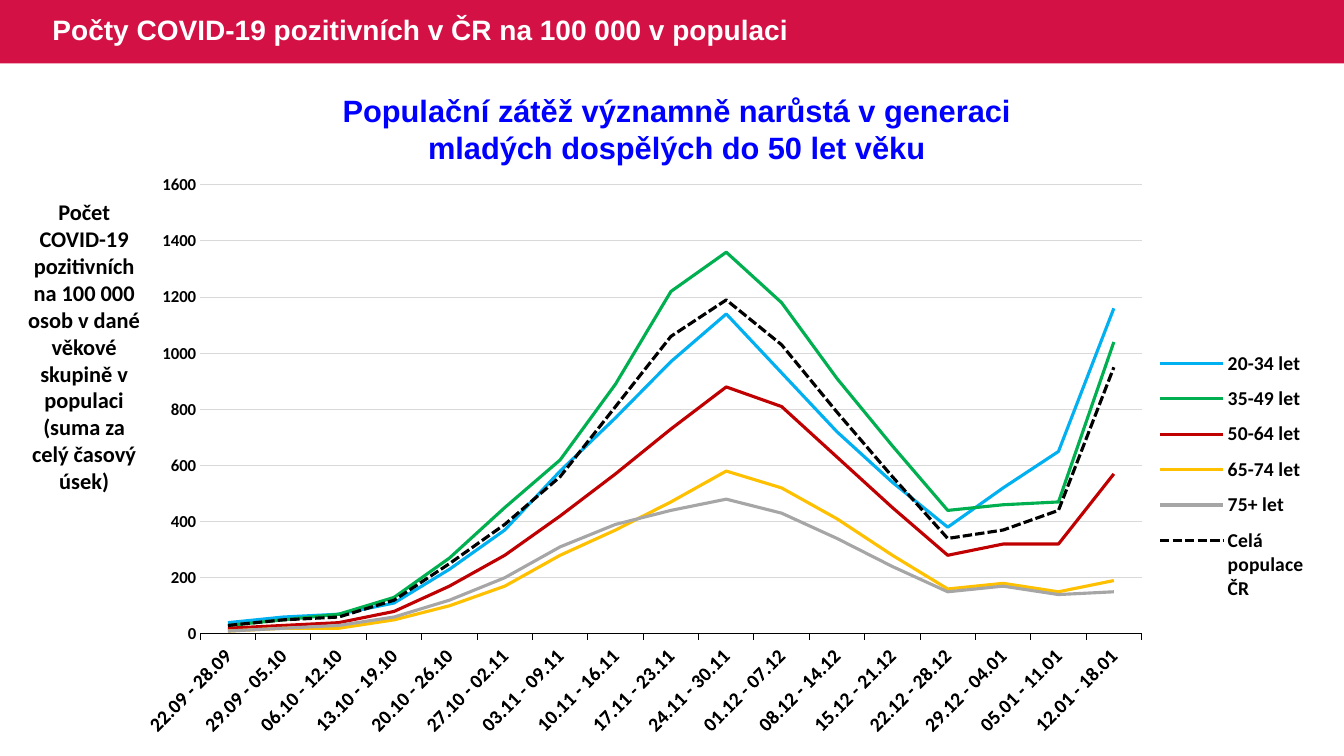
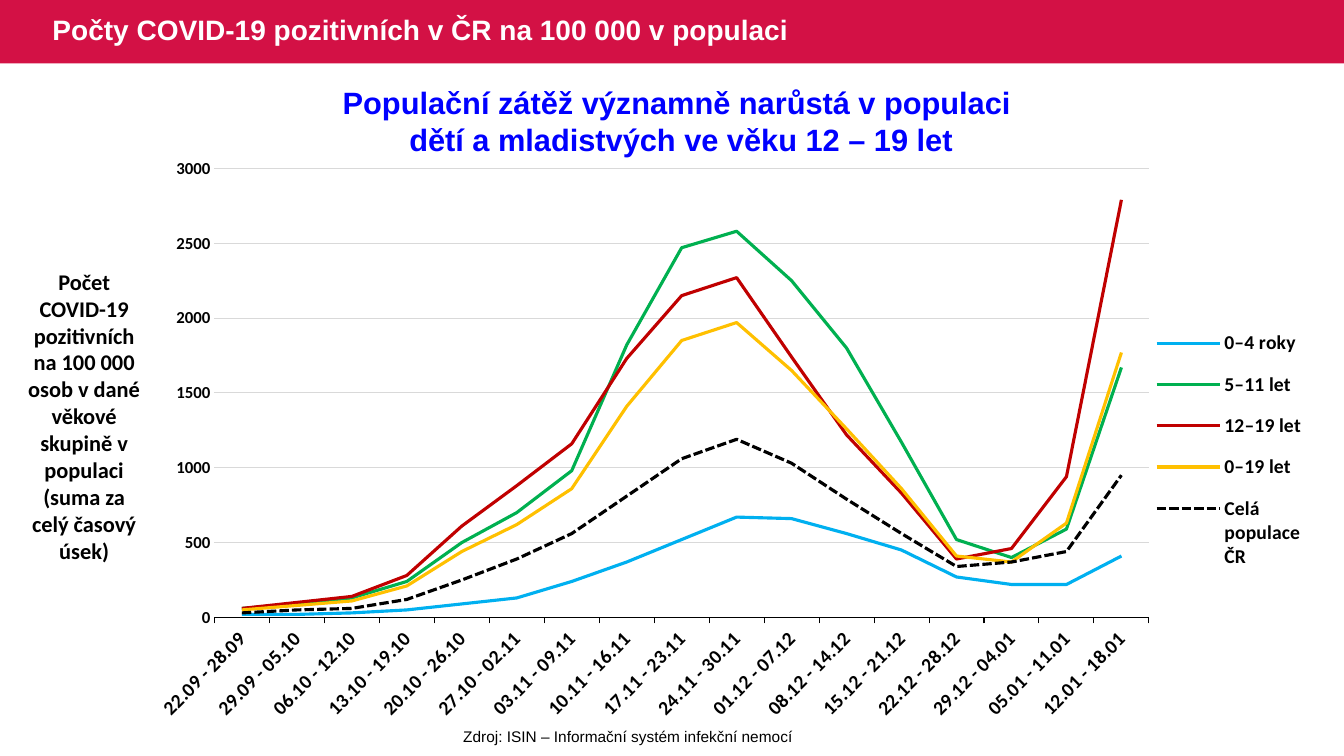
from lxml import etree
from pptx import Presentation
from pptx.chart import data as cd
from pptx.dml.color import RGBColor
from pptx.enum import chart as ce, dml, shapes, text
from pptx.oxml import ns
from pptx.util import Inches, Pt

RED = RGBColor(0xD3, 0x11, 0x45)
WHITE = RGBColor(0xFF, 0xFF, 0xFF)
BLACK = RGBColor(0, 0, 0)
BLUE = RGBColor(0, 0, 0xFF)
GRID = RGBColor(0xD9, 0xD9, 0xD9)
LINES = [RGBColor(0x00, 0xB0, 0xF0), RGBColor(0x00, 0xB0, 0x50),
         RGBColor(0xC0, 0x00, 0x00), RGBColor(0xFF, 0xC0, 0x00),
         RGBColor(0xA6, 0xA6, 0xA6)]

# Content
TITLE = "Počty COVID-19 pozitivních v ČR na 100 000 v populaci"
LABEL = ("Počet COVID-19 pozitivních na 100 000 osob v dané věkové skupině "
         "v populaci (suma za celý časový úsek)")
WEEKS = ["22.09 - 28.09", "29.09 - 05.10", "06.10 - 12.10", "13.10 - 19.10",
         "20.10 - 26.10", "27.10 - 02.11", "03.11 - 09.11", "10.11 - 16.11",
         "17.11 - 23.11", "24.11 - 30.11", "01.12 - 07.12", "08.12 - 14.12",
         "15.12 - 21.12", "22.12 - 28.12", "29.12 - 04.01", "05.01 - 11.01",
         "12.01 - 18.01"]
WHOLE = ("Celá populace ČR", [30, 50, 60, 120, 250, 390, 560, 810, 1060, 1190,
                              1030, 790, 560, 340, 370, 440, 950])
ADULTS = [
    ("20-34 let", [40, 60, 70, 110, 230, 370, 580, 770, 970, 1140, 930, 720,
                   540, 380, 520, 650, 1160]),
    ("35-49 let", [30, 50, 70, 130, 270, 450, 620, 890, 1220, 1360, 1180, 910,
                   670, 440, 460, 470, 1040]),
    ("50-64 let", [20, 30, 40, 80, 170, 280, 420, 570, 730, 880, 810, 630,
                   450, 280, 320, 320, 570]),
    ("65-74 let", [10, 20, 20, 50, 100, 170, 280, 370, 470, 580, 520, 410,
                   280, 160, 180, 150, 190]),
    ("75+ let", [10, 20, 30, 60, 120, 200, 310, 390, 440, 480, 430, 340,
                 240, 150, 170, 140, 150]),
]
YOUTH = [
    ("0–4 roky", [20, 20, 30, 50, 90, 130, 240, 370, 520, 670, 660, 560,
                  450, 270, 220, 220, 410]),
    ("5–11 let", [60, 90, 130, 240, 500, 700, 980, 1820, 2470, 2580, 2250,
                  1800, 1170, 520, 400, 590, 1670]),
    ("12–19 let", [60, 100, 140, 280, 610, 880, 1160, 1730, 2150, 2270, 1740,
                   1220, 830, 390, 460, 940, 2790]),
    ("0–19 let", [50, 80, 110, 210, 440, 620, 860, 1410, 1850, 1970, 1650,
                  1260, 860, 410, 370, 630, 1770]),
]
# Plot and legend areas are fractions of the chart: left, top, width, height
SLIDES = [
    dict(head=["Populační zátěž významně narůstá v generaci ",
               "mladých dospělých do 50 let věku "],
         head_top=0.86, label_top=1.92, chart_at=(1.43, 1.67), groups=ADULTS,
         top=1600, step=200, plot=(0.045, 0.028, 0.803, 0.759),
         legend=(0.86, 0.29, 0.13, 0.46), source=None),
    dict(head=["Populační zátěž významně narůstá v populaci ",
               "dětí a mladistvých ve věku 12 – 19 let"],
         head_top=0.78, label_top=2.61, chart_at=(1.52, 1.53), groups=YOUTH,
         top=3000, step=500, plot=(0.052, 0.024, 0.795, 0.759),
         legend=(0.85, 0.27, 0.13, 0.46),
         source="Zdroj: ISIN – Informační systém infekční nemocí"),
]


def style(font, size, color=BLACK, name="Calibri", bold=True):
    font.size, font.name, font.bold = Pt(size), name, bold
    font.color.rgb = color


def add_text(slide, box, lines, *look):
    frame = slide.shapes.add_textbox(*map(Inches, box)).text_frame
    frame.word_wrap = True
    frame.text = "\n".join(lines)
    for para in frame.paragraphs:
        para.alignment = text.PP_ALIGN.CENTER
        style(para.font, *look)


def set_area(parent, index, area, inner=False):
    """Give a plot area or legend a fixed place in its chart."""
    for old in parent.findall(ns.qn("c:layout")):
        parent.remove(old)
    layout = etree.Element(ns.qn("c:layout"))
    manual = etree.SubElement(layout, ns.qn("c:manualLayout"))
    pairs = [("layoutTarget", "inner")] if inner else []
    pairs += [("xMode", "edge"), ("yMode", "edge"), *zip("xywh", area)]
    for tag, val in pairs:
        etree.SubElement(manual, ns.qn("c:" + tag)).set("val", str(val))
    parent.insert(index, layout)


def add_chart(slide, item):
    data = cd.CategoryChartData()
    data.categories = WEEKS
    for name, vals in item["groups"] + [WHOLE]:
        data.add_series(name, vals)
    left, top = item["chart_at"]
    chart = slide.shapes.add_chart(
        ce.XL_CHART_TYPE.LINE, Inches(left), Inches(top), Inches(11.66),
        Inches(5.87), data).chart
    chart.has_title = False
    style(chart.font, 14)

    # Series lines
    count = len(item["groups"])
    for line, color in zip(chart.plots[0].series, LINES[:count] + [BLACK]):
        line.smooth = False
        line.format.line.color.rgb = color
        line.format.line.width = Pt(2.25)
    line.format.line.dash_style = dml.MSO_LINE.SQUARE_DOT

    # Axes
    weeks, rates = chart.category_axis, chart.value_axis
    style(weeks.tick_labels.font, 14)
    style(rates.tick_labels.font, 12)
    weeks.major_tick_mark = ce.XL_TICK_MARK.OUTSIDE
    rates.major_tick_mark = ce.XL_TICK_MARK.NONE
    rates.minimum_scale, rates.maximum_scale = 0, item["top"]
    rates.major_unit = item["step"]
    rates.format.line.fill.background()
    for edge, color in ((weeks.format.line, BLACK),
                        (rates.major_gridlines.format.line, GRID)):
        edge.color.rgb = color
        edge.width = Pt(0.75)
    body = chart.element.xpath(".//c:catAx/c:txPr/a:bodyPr")[0]
    body.set("rot", "-2700000")
    body.set("vert", "horz")

    # Legend and plot area
    chart.has_legend = True
    chart.legend.position = ce.XL_LEGEND_POSITION.RIGHT
    chart.legend.include_in_layout = False
    style(chart.legend.font, 14)
    set_area(chart.element.xpath(".//c:plotArea")[0], 0, item["plot"], True)
    set_area(chart.element.xpath(".//c:legend")[0], 1, item["legend"])


def set_layout(deck):
    """Put the red band and the title's place on the shared layout."""
    layout = deck.slide_layouts[5]
    name = layout.placeholders[0]
    name.left, name.top = Inches(0.42), Inches(0)
    name.width, name.height = Inches(8.37), Inches(0.63)
    return layout


def add_band(slide, layout):
    band = slide.shapes.add_shape(shapes.MSO_SHAPE.RECTANGLE, 0, 0,
                                  Inches(13.33), Inches(0.63))
    band.shadow.inherit = False
    band.fill.solid()
    band.fill.fore_color.rgb = RED
    band.line.fill.background()
    layout.shapes.element.insert(2, band.element)


def add_title(slide):
    frame = slide.shapes.title.text_frame
    frame.text = TITLE
    frame.auto_size = text.MSO_AUTO_SIZE.NONE
    frame.vertical_anchor = text.MSO_ANCHOR.MIDDLE
    para = frame.paragraphs[0]
    para.alignment = text.PP_ALIGN.LEFT
    para.line_spacing = 0.9
    style(para.font, 20, WHITE, "Arial")


def main():
    deck = Presentation()
    deck.slide_width, deck.slide_height = Inches(13.33), Inches(7.5)
    layout = set_layout(deck)
    for num, item in enumerate(SLIDES):
        slide = deck.slides.add_slide(layout)
        if num == 0:
            add_band(slide, layout)
        add_title(slide)
        if item["source"]:
            add_text(slide, (2.36, 7.16, 7.74, 0.29), [item["source"]],
                     11, BLACK, "Arial", False)
        add_chart(slide, item)
        add_text(slide, (0.15, item["label_top"], 1.37, 3.06), [LABEL], 16)
        add_text(slide, (0.55, item["head_top"], 12.41, 0.84), item["head"],
                 22, BLUE, "Arial")
    deck.save("out.pptx")


if __name__ == "__main__":
    main()
